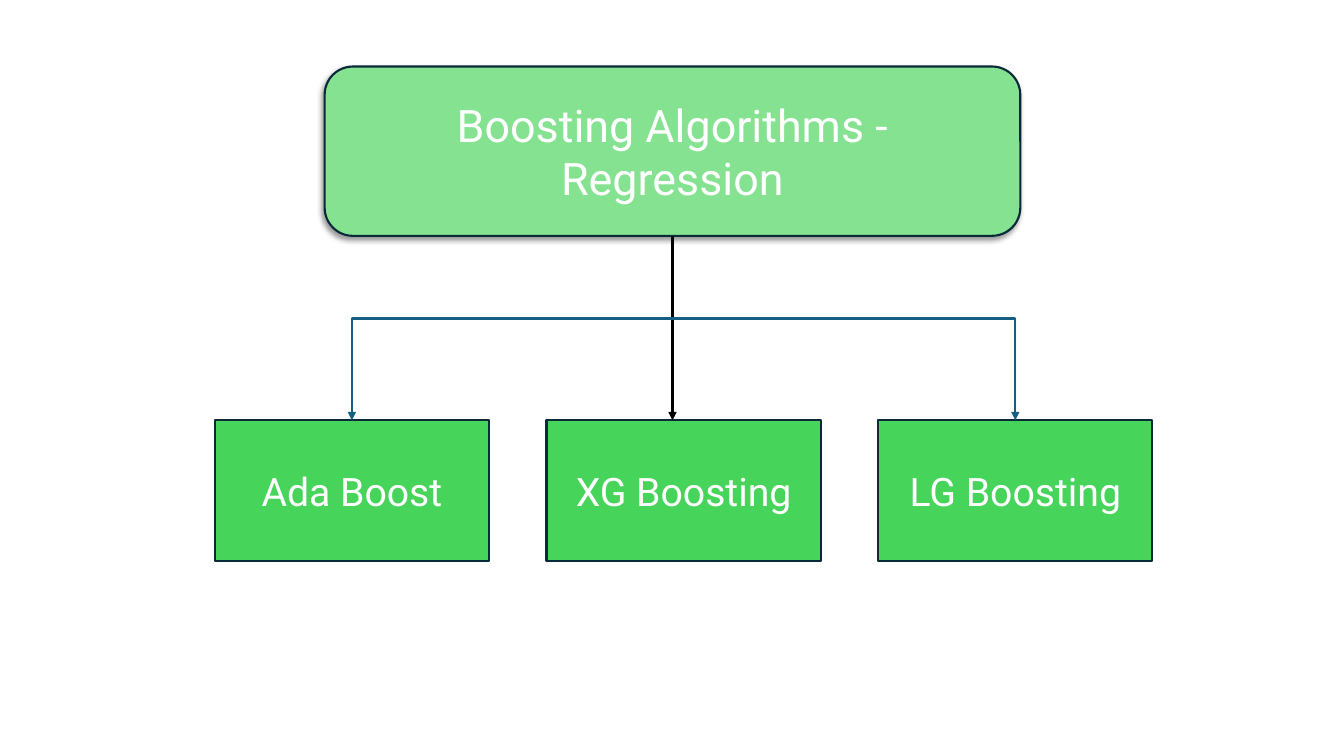
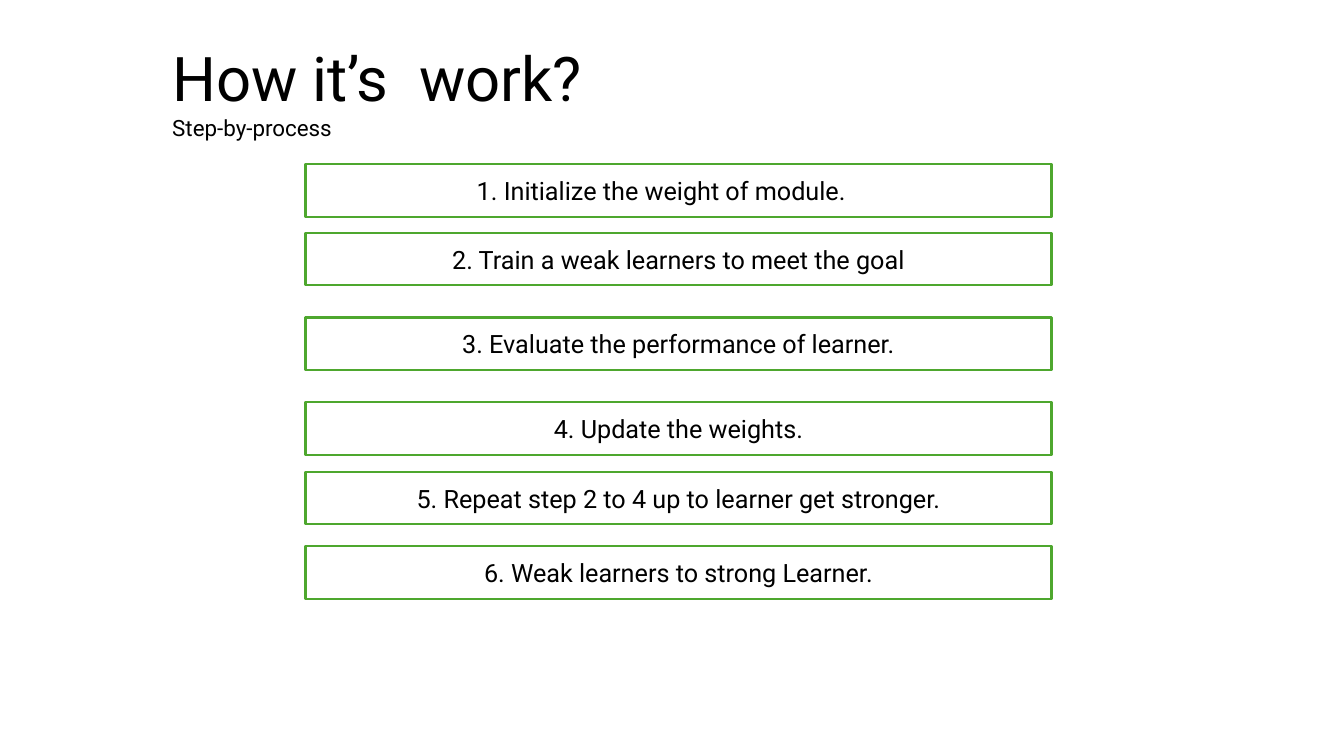
from dataclasses import dataclass

from lxml.etree import SubElement
from pptx import Presentation
from pptx.dml.color import RGBColor
from pptx.enum.shapes import MSO_CONNECTOR as Connector, MSO_SHAPE as Shape
from pptx.enum.text import MSO_ANCHOR as Anchor, MSO_AUTO_SIZE as AutoSize, PP_ALIGN as Align
from pptx.oxml.ns import qn
from pptx.util import Inches, Pt

FONT = "Roboto"
WHITE = RGBColor(0xFF, 0xFF, 0xFF)
BLACK = RGBColor(0x00, 0x00, 0x00)
LIGHT_GREEN = RGBColor(0x84, 0xE2, 0x91)
GREEN = RGBColor(0x47, 0xD4, 0x5A)
DARK_GREEN = RGBColor(0x4E, 0xA7, 0x2E)
NAVY = RGBColor(0x09, 0x2A, 0x39)
BLUE = RGBColor(0x15, 0x60, 0x82)
LINE_WIDTH = Pt(1.5)


@dataclass(frozen=True)
class BoxStyle:
    fill: RGBColor
    outline: RGBColor
    text_color: RGBColor
    text_size: int
    shape: Shape = Shape.RECTANGLE


@dataclass(frozen=True)
class Step:
    text: str
    top: float
    right_inset: float = 0.1


ROOT_STYLE = BoxStyle(LIGHT_GREEN, NAVY, WHITE, 32, Shape.ROUNDED_RECTANGLE)
BRANCH_STYLE = BoxStyle(GREEN, NAVY, WHITE, 28)
STEP_STYLE = BoxStyle(WHITE, DARK_GREEN, BLACK, 18)

BRANCHES = ("Ada Boost", "XG Boosting", "LG Boosting")
BRANCH_LEFT, BRANCH_TOP, BRANCH_WIDTH, BRANCH_HEIGHT = 2.13, 4.17, 2.72, 1.4
BRANCH_PITCH = 3.29
TRUNK_X, FORK_Y = 6.67, 3.16

STEPS = (
    Step("1. Initialize the weight of module.", 1.63, right_inset=0.44),
    Step("2. Train a weak learners to meet the goal", 2.31),
    Step("3. Evaluate the performance of learner.", 3.15),
    Step("4. Update the weights.", 3.99),
    Step("5. Repeat step 2 to 4 up to learner get stronger.", 4.68),
    Step("6. Weak learners to strong Learner.", 5.42),
)


def format_paragraph(para, size: int, color: RGBColor) -> None:
    for span in para.runs:
        span.font.name = FONT
        span.font.size = Pt(size)
        span.font.color.rgb = color


def add_box(page, text: str, left: float, top: float, width: float, height: float,
            style: BoxStyle):
    box = page.shapes.add_shape(
        style.shape, Inches(left), Inches(top), Inches(width), Inches(height))
    box.shadow.inherit = False
    box.fill.solid()
    box.fill.fore_color.rgb = style.fill
    box.line.color.rgb = style.outline
    box.line.width = LINE_WIDTH
    frame = box.text_frame
    frame.word_wrap = True
    frame.vertical_anchor = Anchor.MIDDLE
    frame.text = text
    para = frame.paragraphs[0]
    para.alignment = Align.CENTER
    format_paragraph(para, style.text_size, style.text_color)
    return box


def add_soft_shadow(box) -> None:
    effects = box.element.spPr.find(qn("a:effectLst"))
    shadow = SubElement(effects, qn("a:outerShdw"), blurRad=str(Pt(4)),
                        dist=str(Pt(3)), dir=str(135 * 60000), rotWithShape="0")
    color = SubElement(shadow, qn("a:srgbClr"), val=str(BLACK))
    SubElement(color, qn("a:alpha"), val="40000")


def add_arrow(page, kind: Connector, start: tuple[float, float],
              end: tuple[float, float], color: RGBColor):
    """Add an arrow; an elbow runs sideways first, then turns down once."""
    arrow = page.shapes.add_connector(
        kind, Inches(start[0]), Inches(start[1]), Inches(end[0]), Inches(end[1]))
    arrow.line.color.rgb = color
    arrow.line.width = LINE_WIDTH
    properties = arrow.element.spPr
    SubElement(properties.find(qn("a:ln")), qn("a:tailEnd"), type="triangle")
    SubElement(properties, qn("a:effectLst"))
    if kind == Connector.ELBOW:
        properties.find(qn("a:prstGeom")).set("prst", "bentConnector2")
    return arrow


def build_algorithms(page) -> None:
    root = add_box(page, "Boosting Algorithms - Regression", 3.22, 0.66, 6.9, 1.68, ROOT_STYLE)
    add_soft_shadow(root)
    lefts = [BRANCH_LEFT + index * BRANCH_PITCH for index in range(len(BRANCHES))]
    for name, left in zip(BRANCHES, lefts):
        add_box(page, name, left, BRANCH_TOP, BRANCH_WIDTH, BRANCH_HEIGHT, BRANCH_STYLE)

    trunk = add_arrow(page, Connector.STRAIGHT, (TRUNK_X, 2.34), (TRUNK_X, BRANCH_TOP), BLACK)
    trunk.begin_connect(root, 2)
    for left in (lefts[0], lefts[-1]):
        add_arrow(page, Connector.ELBOW, (TRUNK_X, FORK_Y),
                  (left + BRANCH_WIDTH / 2, BRANCH_TOP), BLUE)


def build_steps(page) -> None:
    for step in STEPS:
        box = add_box(page, step.text, 3.03, step.top, 7.4, 0.52, STEP_STYLE)
        box.text_frame.margin_right = Inches(step.right_inset)

    heading = page.shapes.add_textbox(Inches(1.61), Inches(0.35), Inches(7.75), Inches(1.11))
    frame = heading.text_frame
    frame.word_wrap = True
    frame.auto_size = AutoSize.SHAPE_TO_FIT_TEXT
    frame.text = "How it’s  work?"
    subtitle = frame.add_paragraph()
    subtitle.text = "Step-by-process"
    format_paragraph(frame.paragraphs[0], 44, BLACK)
    format_paragraph(subtitle, 16, BLACK)


def main() -> None:
    deck = Presentation()
    deck.slide_width, deck.slide_height = Inches(13.33), Inches(7.5)
    blank = deck.slide_layouts[6]
    for build in (build_algorithms, build_steps):
        build(deck.slides.add_slide(blank))
    deck.save("out.pptx")


if __name__ == "__main__":
    main()
